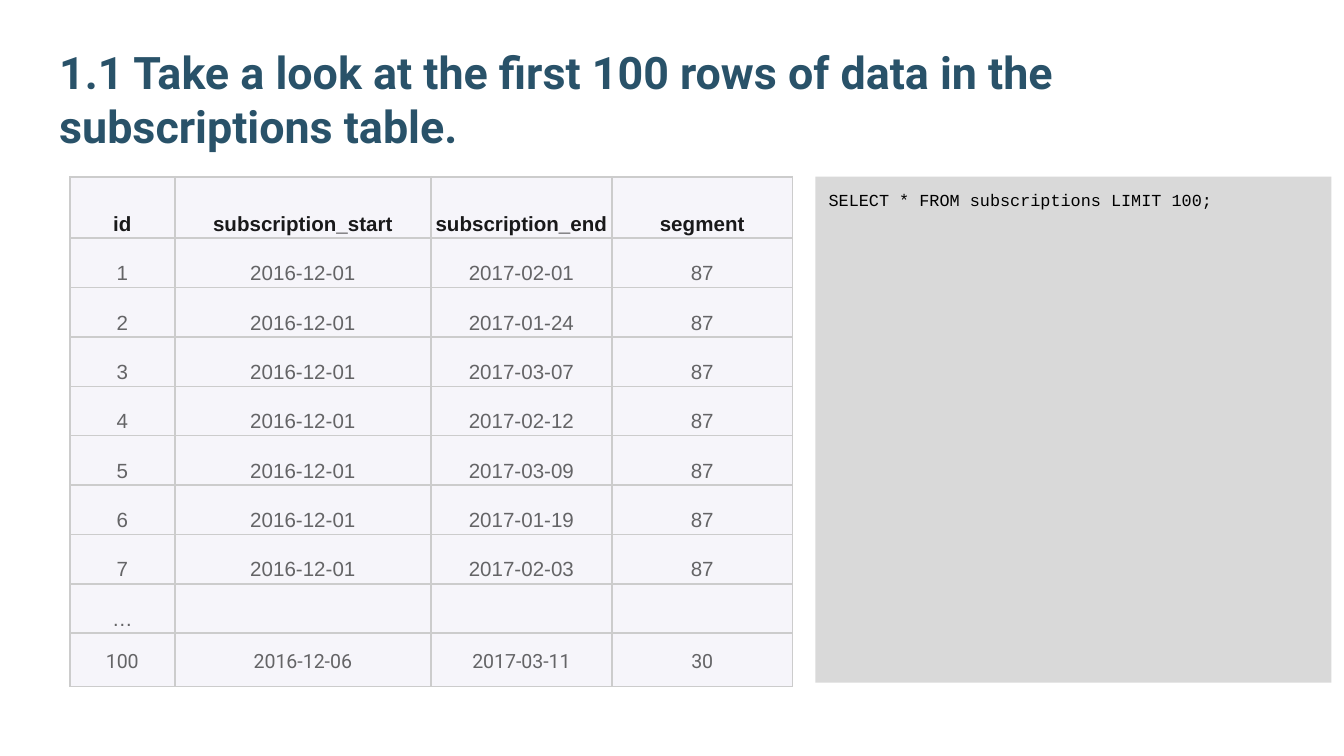
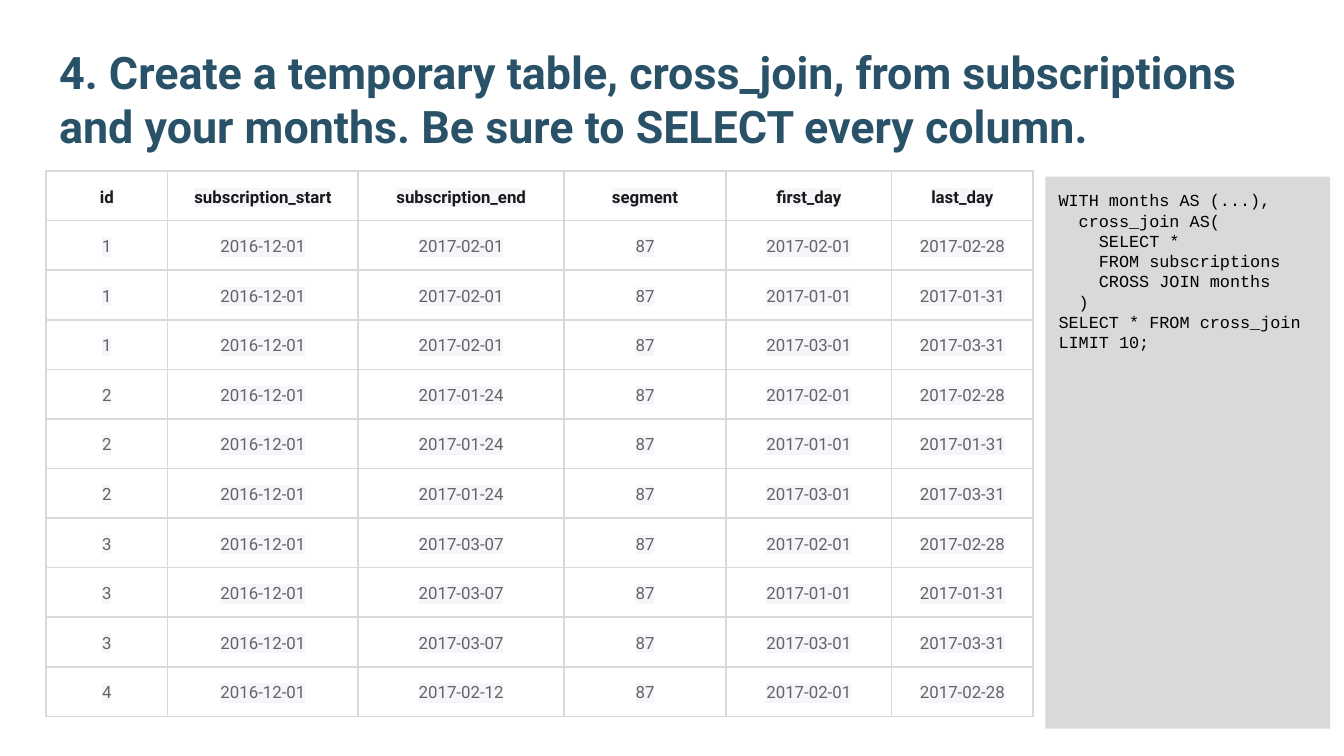
from dataclasses import dataclass
from itertools import islice, product

from lxml.etree import SubElement
from pptx import Presentation
from pptx.dml.color import RGBColor
from pptx.enum.shapes import MSO_SHAPE
from pptx.enum.text import MSO_ANCHOR, MSO_AUTO_SIZE, PP_ALIGN
from pptx.oxml import parse_xml
from pptx.oxml.ns import nsdecls, qn
from pptx.slide import Slide
from pptx.util import Pt

EMU_PER_PX = 2286
COLORS = {
    "title": "295269",
    "panel": "D9D9D9",
    "code": "000000",
    "header": "19191A",
    "value": "646466",
    "cell": "F6F5FA",
    "border": "CCCCCC",
}


@dataclass(frozen=True)
class Box:
    left: int
    top: int
    width: int
    height: int

    def emu(self) -> tuple[int, ...]:
        return tuple(px(n) for n in (self.left, self.top, self.width, self.height))


@dataclass(frozen=True)
class CellStyle:
    font: str
    size: float
    margin_x: int
    margin_y: int
    anchor: MSO_ANCHOR
    highlighted: bool = False


@dataclass(frozen=True)
class ResultTable:
    left: int
    top: int
    columns: list[int]
    header_height: int
    border: str
    style: CellStyle
    rows: list[tuple[str, ...]]
    last_style: CellStyle


@dataclass(frozen=True)
class QuerySlide:
    title: str
    panel: Box
    query: str
    result: ResultTable


TITLE_BOX = Box(136, 128, 3728, 366)
ROW_HEIGHT = 147
PADDING = 40

COMPACT = CellStyle("Arial", 11, 12, 8, MSO_ANCHOR.BOTTOM)
FINAL_ROW = CellStyle("Roboto", 10.5, PADDING, PADDING, MSO_ANCHOR.TOP)
HIGHLIGHTED = CellStyle("Roboto", 9, PADDING, PADDING, MSO_ANCHOR.TOP, True)

HEADINGS = ("id", "subscription_start", "subscription_end", "segment")
END_DATES = ["2017-02-01", "2017-01-24", "2017-03-07", "2017-02-12",
             "2017-03-09", "2017-01-19", "2017-02-03"]
SUBSCRIPTIONS = [(str(number), "2016-12-01", end, "87")
                 for number, end in enumerate(END_DATES, 1)]
MONTHS = [("2017-02-01", "2017-02-28"),
          ("2017-01-01", "2017-01-31"),
          ("2017-03-01", "2017-03-31")]
CROSS_JOIN = [subscription + month for subscription, month
              in islice(product(SUBSCRIPTIONS, MONTHS), 10)]

CROSS_JOIN_QUERY = """WITH months AS (...),
  cross_join AS(
    SELECT *
    FROM subscriptions
    CROSS JOIN months
  )
SELECT * FROM cross_join LIMIT 10;"""

SLIDES = [
    QuerySlide(
        "1.1 Take a look at the first 100 rows of data in the subscriptions table.",
        Box(2427, 526, 1536, 1506),
        "SELECT * FROM subscriptions LIMIT 100;",
        ResultTable(208, 526, [312, 763, 538, 538], 183, COLORS["border"], COMPACT,
                    [HEADINGS, *SUBSCRIPTIONS, ("…", "", "", ""),
                     ("100", "2016-12-06", "2017-03-11", "30")], FINAL_ROW),
    ),
    QuerySlide(
        "4. Create a temporary table, cross_join, from subscriptions and your months. "
        "Be sure to SELECT every column.",
        Box(3111, 526, 848, 1643),
        CROSS_JOIN_QUERY,
        ResultTable(137, 509, [362, 567, 613, 482, 493, 421], ROW_HEIGHT,
                    COLORS["panel"], HIGHLIGHTED,
                    [HEADINGS + ("first_day", "last_day"), *CROSS_JOIN], HIGHLIGHTED),
    ),
]


def px(length: int) -> int:
    return length * EMU_PER_PX


def add_run(paragraph, text: str, font: str, size: float, color: str, bold: bool = False):
    run = paragraph.add_run()
    run.text = text
    run.font.name = font
    run.font.size = Pt(size)
    run.font.bold = bold
    run.font.color.rgb = RGBColor.from_string(color)
    return run


def set_margins(owner, horizontal: int, vertical: int) -> None:
    owner.margin_left = owner.margin_right = px(horizontal)
    owner.margin_top = owner.margin_bottom = px(vertical)


def add_title(slide: Slide, text: str) -> None:
    title = slide.shapes.title
    title.left, title.top, title.width, title.height = TITLE_BOX.emu()
    frame = title.text_frame
    frame.word_wrap = True
    frame.auto_size = MSO_AUTO_SIZE.NONE
    frame.vertical_anchor = MSO_ANCHOR.BOTTOM
    set_margins(frame, PADDING, PADDING)
    paragraph = frame.paragraphs[0]
    paragraph.alignment = PP_ALIGN.LEFT
    add_run(paragraph, text, "Roboto", 24, COLORS["title"], True)


def add_query_panel(slide: Slide, box: Box, query: str) -> None:
    panel = slide.shapes.add_shape(MSO_SHAPE.RECTANGLE, *box.emu())
    panel.shadow.inherit = False
    panel.fill.solid()
    panel.fill.fore_color.rgb = RGBColor.from_string(COLORS["panel"])
    panel.line.fill.background()
    frame = panel.text_frame
    frame.word_wrap = True
    frame.vertical_anchor = MSO_ANCHOR.TOP
    set_margins(frame, PADDING, PADDING)
    for index, line in enumerate(query.split("\n")):
        paragraph = frame.add_paragraph() if index else frame.paragraphs[0]
        paragraph.alignment = PP_ALIGN.LEFT
        add_run(paragraph, line, "Courier New", 9, COLORS["code"])


def add_borders(cell, color: str) -> None:
    properties = cell._tc.get_or_add_tcPr()
    for index, side in enumerate("LRTB"):
        properties.insert(index, parse_xml(
            f'<a:ln{side} {nsdecls("a")} w="12700"><a:solidFill>'
            f'<a:srgbClr val="{color}"/></a:solidFill></a:ln{side}>'))


def highlight(run) -> None:
    run._r.get_or_add_rPr().find(qn("a:solidFill")).addnext(parse_xml(
        f'<a:highlight {nsdecls("a")}><a:srgbClr val="{COLORS["cell"]}"/></a:highlight>'))


def fill_cell(cell, text: str, style: CellStyle, border: str, is_header: bool) -> None:
    cell.fill.solid()
    cell.fill.fore_color.rgb = RGBColor.from_string(COLORS["cell"])
    if style.highlighted:
        fill_color = cell._tc.tcPr.find(qn("a:solidFill"))[0]
        SubElement(fill_color, qn("a:alpha")).set("val", "0")
    add_borders(cell, border)
    set_margins(cell, style.margin_x, style.margin_y)
    cell.vertical_anchor = style.anchor
    if not text:
        return
    paragraph = cell.text_frame.paragraphs[0]
    paragraph.alignment = PP_ALIGN.CENTER
    paragraph.line_spacing = 1.15
    color = COLORS["header" if is_header else "value"]
    run = add_run(paragraph, text, style.font, style.size, color, is_header)
    if style.highlighted:
        highlight(run)


def add_result(slide: Slide, result: ResultTable) -> None:
    last = len(result.rows) - 1
    box = Box(result.left, result.top, sum(result.columns),
              result.header_height + last * ROW_HEIGHT)
    table = slide.shapes.add_table(last + 1, len(result.columns), *box.emu()).table
    table.first_row = table.horz_banding = False
    for column, width in zip(table.columns, result.columns):
        column.width = px(width)
    for index, values in enumerate(result.rows):
        table.rows[index].height = px(ROW_HEIGHT if index else result.header_height)
        style = result.last_style if index == last else result.style
        for cell, text in zip(table.rows[index].cells, values):
            fill_cell(cell, text, style, result.border, index == 0)


def main() -> None:
    presentation = Presentation()
    presentation.slide_width = px(4000)
    presentation.slide_height = px(2250)
    title_only = presentation.slide_layouts[5]
    for content in SLIDES:
        slide = presentation.slides.add_slide(title_only)
        add_title(slide, content.title)
        add_query_panel(slide, content.panel, content.query)
        add_result(slide, content.result)
    presentation.save("out.pptx")


if __name__ == "__main__":
    main()
